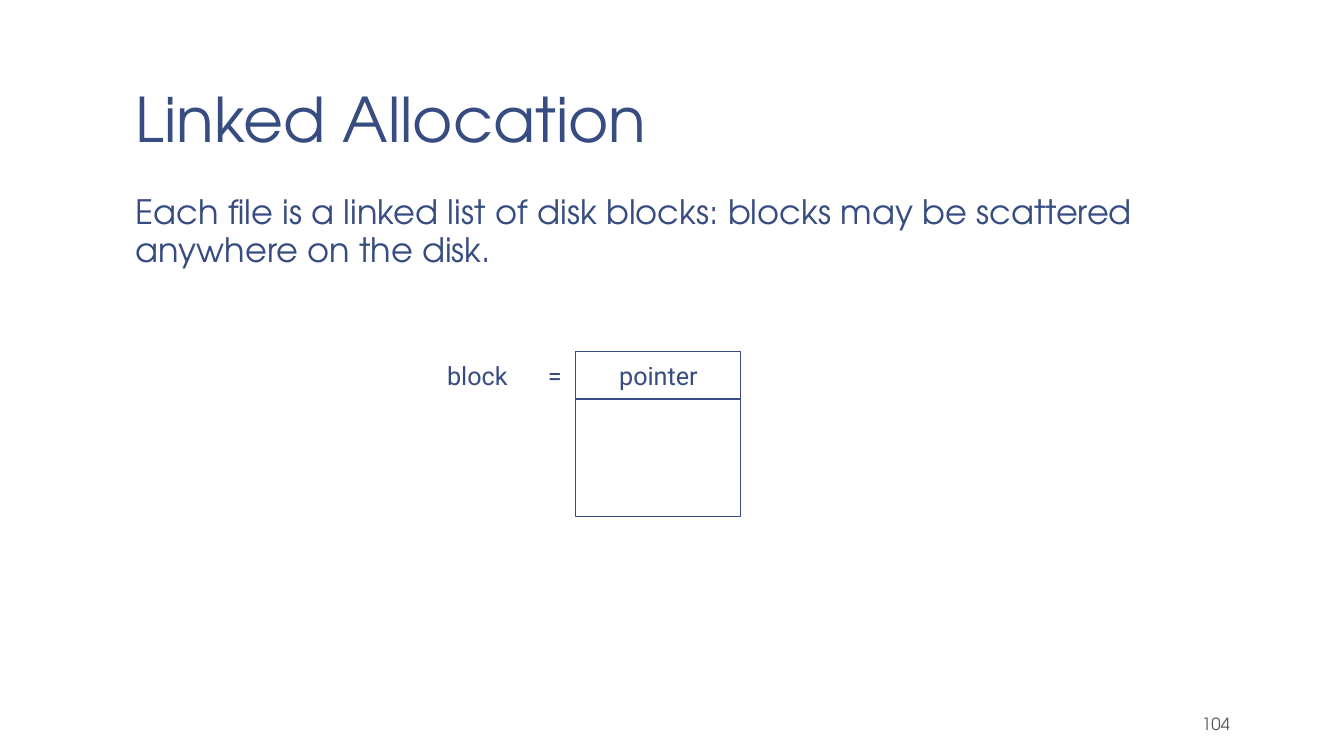
from lxml import etree
from pptx import Presentation
from pptx import util as u
from pptx.dml.color import RGBColor
from pptx.enum import shapes, text
from pptx.oxml.ns import qn

BLUE = RGBColor(0x37, 0x4C, 0x81)
GRAY = RGBColor(0x59, 0x59, 0x59)
WHITE = RGBColor(0xFF, 0xFF, 0xFF)
HEAD, BODY = "TeX Gyre Adventor", "Roboto"
WIDE, FLAT = (13, 7), (10, 5)
LEFT, MID, RIGHT = text.PP_ALIGN.LEFT, text.PP_ALIGN.CENTER, text.PP_ALIGN.RIGHT
TOP, CENTER, LOW = text.MSO_ANCHOR.TOP, text.MSO_ANCHOR.MIDDLE, text.MSO_ANCHOR.BOTTOM


def px(n):
    return u.Emu(round(n * 914400 / 100.8))


def write(frame, words, size=18, font=BODY, color=BLUE, align=LEFT,
          anchor=CENTER, inset=FLAT, wrap=True, lead=1.0, tab=None):
    frame.auto_size = text.MSO_AUTO_SIZE.NONE
    frame.word_wrap = wrap
    frame.vertical_anchor = anchor
    frame.margin_left = frame.margin_right = px(inset[0])
    frame.margin_top = frame.margin_bottom = px(inset[1])
    para = frame.paragraphs[0]
    props = para._p.get_or_add_pPr()
    props.set("marL", "0")
    props.set("indent", "0")
    etree.SubElement(props, qn("a:buNone"))
    if tab:
        stops = etree.SubElement(props, qn("a:tabLst"))
        etree.SubElement(stops, qn("a:tab"), pos=str(px(tab)), algn="l")
    para.alignment = align
    para.line_spacing = lead
    para.space_before = u.Pt(0)
    run = para.add_run()
    run.text = words
    run.font.size = u.Pt(size)
    run.font.name = font
    run.font.color.rgb = color


class Deck:
    def __init__(self):
        self.file = Presentation()
        self.file.slide_width, self.file.slide_height = px(1344), px(756)
        self.slide = self.file.slides.add_slide(self.file.slide_layouts[1])

    def holder(self, index, box, words, **style):
        item = self.slide.placeholders[index]
        item.left, item.top, item.width, item.height = map(px, box)
        write(item.text_frame, words, font=HEAD, inset=WIDE, **style)

    def label(self, box, words, **style):
        item = self.slide.shapes.add_textbox(*map(px, box))
        write(item.text_frame, words, **style)

    def cell(self, box, words=None):
        item = self.slide.shapes.add_shape(
            shapes.MSO_SHAPE.RECTANGLE, *map(px, box))
        item.shadow.inherit = False
        item.fill.solid()
        item.fill.fore_color.rgb = WHITE
        item.line.color.rgb = BLUE
        item.line.width = u.Pt(0.75)
        if words:
            write(item.text_frame, words, align=MID, wrap=False)


def main():
    deck = Deck()

    # Title and body
    deck.holder(0, (123, 8, 1120, 154), "Linked Allocation",
                size=44, anchor=LOW, lead=0.85)
    deck.holder(1, (123, 187, 1120, 493),
                "Each file is a linked list of disk blocks: "
                "blocks may be scattered anywhere on the disk.",
                size=24, anchor=TOP, lead=0.95)

    # Page number
    deck.label((1121, 706, 122, 35), "104", size=12, font=HEAD, color=GRAY,
               align=RIGHT, anchor=LOW, inset=WIDE)

    # Block: pointer on top, data below
    left, top, wide, head, data = 576, 352, 165, 47, 118
    deck.cell((left, top, wide, head), "pointer")
    deck.cell((left, top + head, wide, data))
    deck.label((437, 355, 136, 40), "block\t=", tab=99)

    deck.file.save("out.pptx")


if __name__ == "__main__":
    main()
